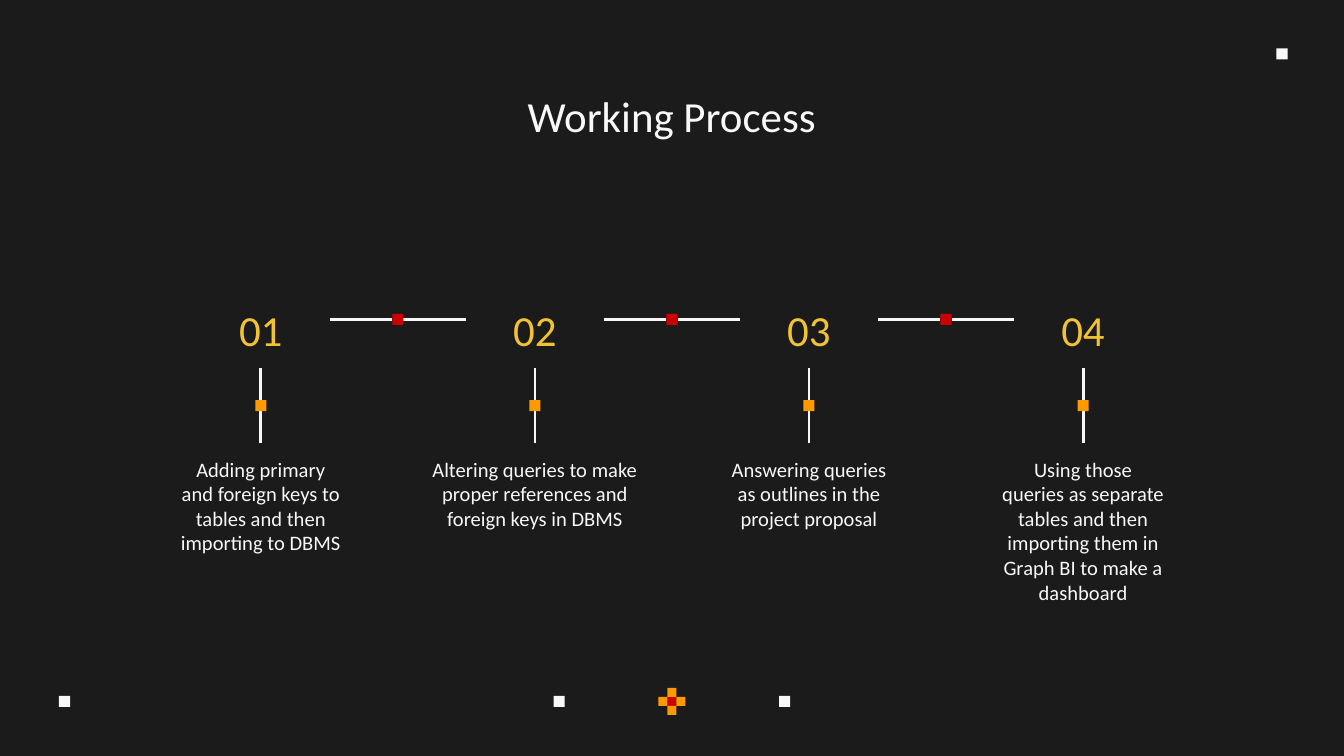
from lxml import etree
from pptx import Presentation
from pptx import util as u
from pptx.dml.color import RGBColor
from pptx.enum import shapes, text
from pptx.oxml.ns import qn

WHITE, ORANGE, RED, YELLOW = "F8F8F8", "FF9900", "CC0000", "F1C232"
DOT = 0.21  # side of a small square, cm


def add_square(x, y, color, side=DOT):
    """Draw a square centred on x, y."""
    square = slide.shapes.add_shape(
        shapes.MSO_SHAPE.RECTANGLE,
        u.Cm(x - side / 2), u.Cm(y - side / 2), u.Cm(side), u.Cm(side))
    square.shadow.inherit = False
    square.fill.solid()
    square.fill.fore_color.rgb = RGBColor.from_string(color)
    square.line.fill.background()


def write(holder, words, size, color, anchor=text.MSO_ANCHOR.TOP):
    frame = holder.text_frame
    frame.text = words
    frame_format = {
        "word_wrap": True, "auto_size": text.MSO_AUTO_SIZE.NONE,
        "vertical_anchor": anchor,
        "margin_left": u.Cm(0.25), "margin_right": u.Cm(0.25),
        "margin_top": u.Cm(0.25), "margin_bottom": u.Cm(0.25),
    }
    for name, value in frame_format.items():
        setattr(frame, name, value)
    paragraph = frame.paragraphs[0]
    paragraph.alignment = text.PP_ALIGN.CENTER
    font = paragraph.runs[0].font
    font.name, font.size = "Calibri", u.Pt(size)
    font.color.rgb = RGBColor.from_string(color)


deck = Presentation()
deck.slide_width, deck.slide_height = u.Cm(25.4), u.Cm(14.29)
slide = deck.slides.add_slide(deck.slide_layouts[5])
slide.background.fill.solid()
slide.background.fill.fore_color.rgb = RGBColor.from_string("1B1B1B")

# Corner and footer squares, with a small cross in the middle
for x, y in [(10.57, 13.26), (14.83, 13.26), (1.22, 13.26), (24.23, 1.02)]:
    add_square(x, y, WHITE)
ARM = 0.17
for column, row in [(0, 0), (0, -1), (-1, 0), (1, 0), (0, 1)]:
    color = ORANGE if column or row else RED
    add_square(12.7 + column * ARM, 13.26 + row * ARM, color, ARM)

title = slide.shapes.title
title.left, title.top = u.Cm(1.98), u.Cm(1.45)
title.width, title.height = u.Cm(21.44), u.Cm(1.3)
write(title, "Working Process", 23, WHITE)

# Steps: description, width and height of its box
steps = [
    ("Adding primary and foreign keys to tables and then importing to DBMS", 3.58, 2.82),
    ("Altering queries to make proper references and foreign keys in DBMS", 4.98, 4.65),
    ("Answering queries as outlines in the project proposal", 3.58, 1.83),
    ("Using those queries as separate tables and then importing them in "
     "Graph BI to make a dashboard", 3.58, 3.68),
]
FIRST, PITCH = 4.93, 5.18
links = []  # centre x, centre y, half width, half height, square colour
for index, (description, width, height) in enumerate(steps):
    center = FIRST + index * PITCH
    number_box = slide.shapes.add_textbox(
        u.Cm(center - 1.31), u.Cm(5.13), u.Cm(2.62), u.Cm(1.83))
    write(number_box, f"{index + 1:02}", 23, YELLOW, text.MSO_ANCHOR.BOTTOM)
    description_box = slide.shapes.add_textbox(
        u.Cm(center - width / 2), u.Cm(8.38), u.Cm(width), u.Cm(height))
    write(description_box, description, 11, WHITE)
    links.append((center, 7.67, 0, 0.71, ORANGE))
    if index < len(steps) - 1:
        links.append((center + PITCH / 2, 6.04, 1.29, 0, RED))

# Each link is a square with a line on both sides
for x, y, half_width, half_height, color in links:
    gap_x = DOT / 2 if half_width else 0
    gap_y = DOT / 2 if half_height else 0
    for side in (-1, 1):
        line = slide.shapes.add_connector(
            shapes.MSO_CONNECTOR.STRAIGHT,
            u.Cm(x + side * half_width), u.Cm(y + side * half_height),
            u.Cm(x + side * gap_x), u.Cm(y + side * gap_y))
        line.line.color.rgb = RGBColor.from_string(WHITE)
        line.line.width = u.Pt(1.5)
        etree.SubElement(line._element.spPr, qn("a:effectLst"))
    add_square(x, y, color)

deck.save("out.pptx")
